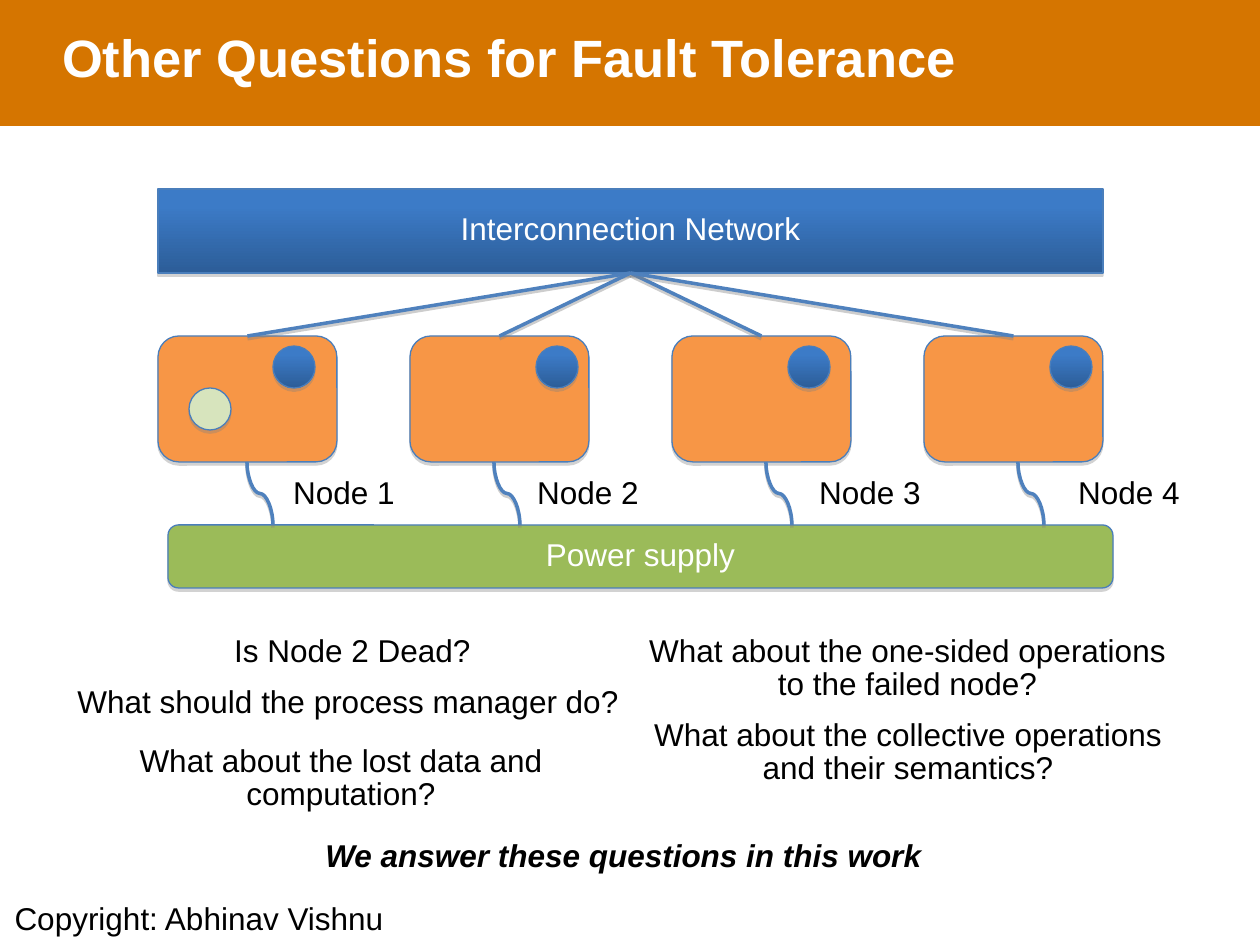
from pptx import Presentation
from pptx.dml.color import RGBColor
from pptx.enum.shapes import MSO_CONNECTOR, MSO_SHAPE
from pptx.enum.text import MSO_ANCHOR, PP_ALIGN
from pptx.oxml import parse_xml
from pptx.util import Pt

PX = 914400 // 126
NS = "http://schemas.openxmlformats.org/drawingml/2006/main"
BLUE = ("3C7BC7", "2C5D98")
ORANGE, GREEN, PALE = "F79646", "9BBB59", "D7E4BD"
EDGE, WIRE = "4A7EBB", "4F81BD"
BODY = {"size": Pt(18), "name": "Arial"}
STRONG = BODY | {"bold": True, "italic": True}
HEAD = {"size": Pt(30), "name": "Arial", "bold": True}

TITLE = "Other Questions for Fault Tolerance"
# label, node left, dot left, cable left, label left
NODES = [
    ("Node 1", 158, 273, 247, 280),
    ("Node 2", 410, 536, 494, 524),
    ("Node 3", 672, 788, 766, 806),
    ("Node 4", 924, 1050, 1018, 1065),
]
NOTES = [
    (["Is Node 2 Dead?"], (220, 630, 265, 47), BODY),
    (["What should the process manager do?"], (62, 681, 572, 47), BODY),
    (["What about the collective operations", "and their semantics?"],
     (630, 714, 556, 81), BODY),
    (["What about the one-sided operations", "to the failed node?"],
     (634, 630, 547, 81), BODY),
    (["What about the lost data and", "computation?"],
     (125, 740, 432, 81), BODY),
    (["We answer these questions in this work"], (310, 835, 627, 45), STRONG),
    (["Copyright: Abhinav Vishnu"], (0, 898, 398, 47), BODY),
]


def emu(*vals):
    return [round(v * PX) for v in vals]


def rgb(code):
    return RGBColor.from_string(code)


def write(shape, lines, font, color, align=PP_ALIGN.CENTER, gap=0.87):
    frame = shape.text_frame
    frame.text = "\n".join(lines)
    for para in frame.paragraphs:
        para.alignment, para.line_spacing = align, gap
        for key, val in font.items():
            setattr(para.font, key, val)
        para.font.color.rgb = rgb(color)
    return frame


def label(shapes, lines, box, font):
    text = shapes.add_textbox(*emu(*box))
    write(text, lines, font, "000000").word_wrap = False


def shade(item, alpha, dist):
    item._element.spPr.append(parse_xml(
        f'<a:effectLst xmlns:a="{NS}"><a:outerShdw blurRad="0" '
        f'dist="{Pt(dist)}" dir="5400000" rotWithShape="0">'
        f'<a:srgbClr val="808080"><a:alpha val="{alpha}000"/></a:srgbClr>'
        '</a:outerShdw></a:effectLst>'))


def block(shapes, kind, box, fill):
    shape = shapes.add_shape(kind, *emu(*box))
    if isinstance(fill, str):
        shape.fill.solid()
        shape.fill.fore_color.rgb = rgb(fill)
    else:
        shape.fill.gradient()
        shape.fill.gradient_angle = 270
        for stop, color, pos in zip(shape.fill.gradient_stops, fill, (0.2, 1)):
            stop.color.rgb, stop.position = rgb(color), pos
    shape.line.color.rgb, shape.line.width = rgb(EDGE), Pt(0.75)
    shade(shape, 35, 1.8)
    return shape


def wire(shapes, kind, ends):
    line = shapes.add_connector(kind, *emu(*ends))
    line.line.color.rgb, line.line.width = rgb(WIRE), Pt(2)
    shade(line, 38, 1.6)
    return line


def main():
    """Build the fault tolerance slide."""
    deck = Presentation()
    deck.slide_width, deck.slide_height = emu(1260, 945)
    shapes = deck.slides.add_slide(deck.slide_layouts[6]).shapes

    band = shapes.add_shape(MSO_SHAPE.RECTANGLE, *emu(0, 0, 1260, 126))
    band.shadow.inherit = False
    band.fill.solid()
    band.fill.fore_color.rgb = rgb("D57500")
    band.line.fill.background()
    head = shapes.add_textbox(*emu(62, 35, 1130, 63))
    frame = write(head, [TITLE], HEAD, "FFFFFF", PP_ALIGN.LEFT, 0.85)
    frame.word_wrap = True
    for side in ("left", "top", "right", "bottom"):
        setattr(frame, f"margin_{side}", 0)

    net = block(shapes, MSO_SHAPE.RECTANGLE, (158, 189, 945, 84), BLUE)
    power = block(shapes, MSO_SHAPE.ROUNDED_RECTANGLE, (168, 525, 945, 63), GREEN)
    for bar, name in ((net, "Interconnection Network"), (power, "Power supply")):
        write(bar, [name], BODY, "FFFFFF").vertical_anchor = MSO_ANCHOR.MIDDLE

    for name, left, dot, cable, tag in NODES:
        node = block(shapes, MSO_SHAPE.ROUNDED_RECTANGLE,
                     (left, 336, 179, 126), ORANGE)
        link = wire(shapes, MSO_CONNECTOR.STRAIGHT, (left, 336, 630, 273))
        link.begin_connect(node, 0)
        link.end_connect(net, 2)
        curve = wire(shapes, MSO_CONNECTOR.CURVE,
                     (cable + 44.5, 480.5, cable - 18.5, 506.5))
        curve._element.spPr.xfrm.set("rot", "16200000")
        block(shapes, MSO_SHAPE.OVAL, (dot, 346, 42, 42), BLUE)
        label(shapes, [name], (tag, 472, 128, 47), BODY)
    block(shapes, MSO_SHAPE.OVAL, (189, 388, 42, 42), PALE)

    for note in NOTES:
        label(shapes, *note)
    deck.save("out.pptx")


if __name__ == "__main__":
    main()
